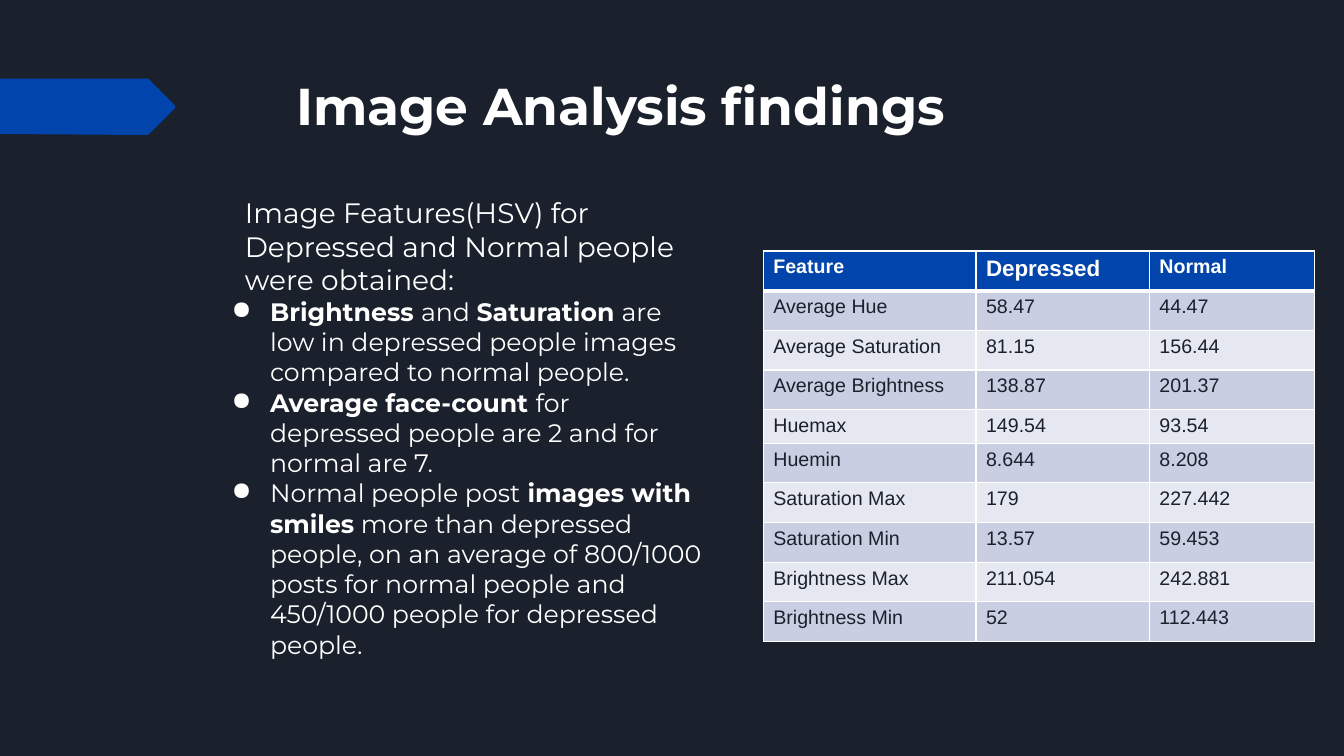
import pptx
import pptx.util
import pptx.dml.color
import pptx.enum.text
import pptx.oxml.ns
from lxml import etree

Inches, Pt = pptx.util.Inches, pptx.util.Pt
qn = pptx.oxml.ns.qn

# Content
TITLE = "Image Analysis findings"
INTRO = "Image Features(HSV) for Depressed and Normal people were obtained:"
# Each bullet is a list of (text, bold) runs
BULLETS = [
    [("Brightness ", True), ("and ", False), ("Saturation ", True),
     ("are low in depressed people images compared to normal people.", False)],
    [("Average face-count ", True),
     ("for depressed people are 2 and for normal are 7.", False)],
    [("Normal people post", False), (" images with smiles", True),
     (" more than depressed people, on an average of 800/1000 posts for normal "
      "people and 450/1000 people for depressed people.", False)],
]
FEATURES = [
    ("Feature", "Depressed", "Normal"),
    ("Average Hue", "58.47", "44.47"),
    ("Average Saturation", "81.15", "156.44"),
    ("Average Brightness", "138.87", "201.37"),
    ("Huemax", "149.54", "93.54"),
    ("Huemin", "8.644", "8.208"),
    ("Saturation Max", "179", "227.442"),
    ("Saturation Min", "13.57", "59.453"),
    ("Brightness Max", "211.054", "242.881"),
    ("Brightness Min", "52", "112.443"),
]
COL_W = (2.11, 1.72, 1.64)
ROW_H = 3.54 / 9
SHORT_ROW, SHORT_H = 4, 0.17
ARROW = [(0, 0.78), (1.46, 0.78), (1.48, 0.79), (1.73, 1.04), (1.74, 1.06),
         (1.73, 1.08), (1.48, 1.33), (1.46, 1.34), (0, 1.33)]
COLORS = {"dark": "1B212C", "blue": "0145AC", "white": "FFFFFF",
          "odd": "CACEE2", "even": "E6E8F1"}


def rgb(name):
    return pptx.dml.color.RGBColor.from_string(COLORS[name])


def add_run(p, text, size, color="white", bold=False, font="Montserrat"):
    r = p.add_run()
    r.text = text
    r.font.name, r.font.size, r.font.bold = font, Pt(size), bold
    r.font.color.rgb = rgb(color)


def indent(p, left, first=0, bullet=None):
    pPr = p._p.get_or_add_pPr()
    pPr.set("marL", str(Inches(left)))
    pPr.set("indent", str(Inches(first)))
    if bullet:
        clr = etree.SubElement(pPr, qn("a:buClr"))
        etree.SubElement(clr, qn("a:srgbClr"), val=COLORS["white"])
        etree.SubElement(pPr, qn("a:buChar"), char=bullet)


def add_border(cell, side, width):
    tcPr = cell._tc.get_or_add_tcPr()
    ln = etree.SubElement(tcPr, qn("a:ln" + side), w=str(Pt(width)))
    fill = etree.SubElement(ln, qn("a:solidFill"))
    etree.SubElement(fill, qn("a:srgbClr"), val=COLORS["white"])


prs = pptx.Presentation()
prs.slide_width, prs.slide_height = Inches(13.33), Inches(7.5)
s = prs.slides.add_slide(prs.slide_layouts[5])
s.background.fill.solid()
s.background.fill.fore_color.rgb = rgb("dark")

# Arrow tab at the left edge
points = [(Inches(x), Inches(y)) for x, y in ARROW]
builder = s.shapes.build_freeform(*points[0])
builder.add_line_segments(points[1:], close=True)
sp = builder.convert_to_shape()
sp.shadow.inherit = False
sp.fill.solid()
sp.fill.fore_color.rgb = rgb("blue")
sp.line.fill.background()

# Title
sp = s.shapes.title
sp.left, sp.top, sp.width, sp.height = map(Inches, (2.84, 0.68, 9.75, 1.4))
tf = sp.text_frame
tf.auto_size = pptx.enum.text.MSO_AUTO_SIZE.NONE
tf.vertical_anchor = pptx.enum.text.MSO_ANCHOR.TOP
p = tf.paragraphs[0]
p.alignment = pptx.enum.text.PP_ALIGN.LEFT
add_run(p, TITLE, 37, bold=True)

# Findings text
tf = s.shapes.add_textbox(*map(Inches, (2.08, 1.89, 4.98, 4.97))).text_frame
tf.word_wrap = True
indent(tf.paragraphs[0], 0.25)
add_run(tf.paragraphs[0], INTRO, 20)
for runs in BULLETS:
    p = tf.add_paragraph()
    indent(p, 0.5, -0.38, "●")
    for text, bold in runs:
        add_run(p, text, 18, bold=bold)

# Feature table
heights = [SHORT_H if i == SHORT_ROW else ROW_H for i in range(len(FEATURES))]
table = s.shapes.add_table(
    len(FEATURES), len(COL_W), Inches(7.57), Inches(2.49),
    Inches(sum(COL_W)), Inches(sum(heights))).table
for col, width in zip(table.columns, COL_W):
    col.width = Inches(width)
for i, values in enumerate(FEATURES):
    table.rows[i].height = Inches(heights[i])
    header = i == 0
    fill = "blue" if header else "odd" if i % 2 else "even"
    for j, value in enumerate(values):
        cell = table.cell(i, j)
        for side in "LRTB":
            thick = (i, side) in ((0, "B"), (1, "T"))
            add_border(cell, side, 3 if thick else 1)
        cell.fill.solid()
        cell.fill.fore_color.rgb = rgb(fill)
        add_run(cell.text_frame.paragraphs[0], value,
                16 if value == "Depressed" else 14,
                "white" if header else "dark", header, "Arial")

prs.save("out.pptx")
